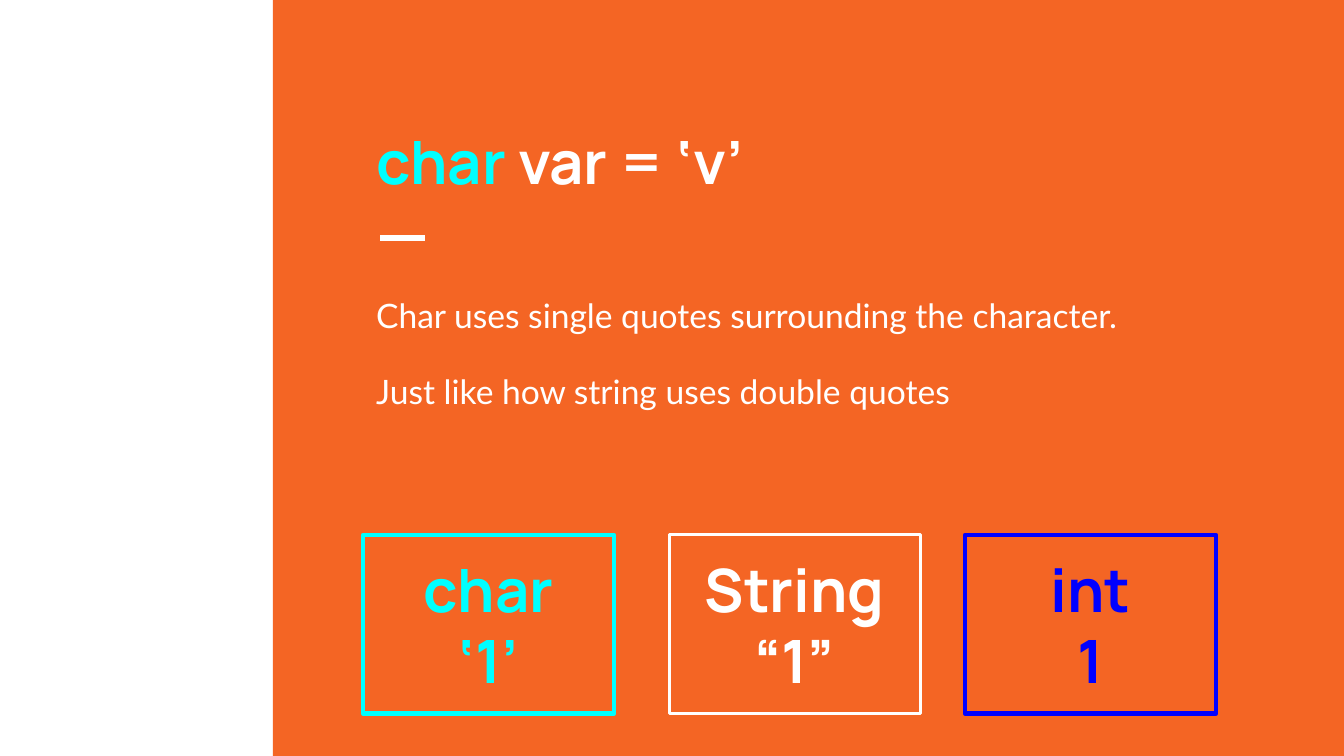
from lxml.etree import SubElement
from pptx import Presentation
from pptx.dml.color import RGBColor
from pptx.enum.shapes import MSO_CONNECTOR, MSO_SHAPE
from pptx.enum.text import MSO_ANCHOR, PP_ALIGN
from pptx.oxml.ns import qn
from pptx.util import Inches, Pt

SLIDE_WIDTH = 10
SLIDE_HEIGHT = SLIDE_WIDTH * 9 / 16

ORANGE = RGBColor(0xF4, 0x65, 0x24)
WHITE = RGBColor(0xFF, 0xFF, 0xFF)
CYAN = RGBColor(0x00, 0xFF, 0xFF)
BLUE = RGBColor(0x00, 0x00, 0xFF)
HEADING_FONT = "Manrope"
BODY_FONT = "Lato"


def write_text(shape, paragraphs, *, font, size, bold=False, align=PP_ALIGN.LEFT,
               anchor=MSO_ANCHOR.TOP, line_spacing=None, space_after=0):
    """Fill a shape with paragraphs, each a list of (text, color) runs."""
    frame = shape.text_frame
    frame.word_wrap = True
    frame.vertical_anchor = anchor
    frame.margin_left = frame.margin_right = Inches(0.1)
    frame.margin_top = frame.margin_bottom = Inches(0.1)
    for index, runs in enumerate(paragraphs):
        paragraph = frame.add_paragraph() if index else frame.paragraphs[0]
        paragraph.alignment = align
        paragraph.space_after = Pt(space_after)
        if line_spacing:
            paragraph.line_spacing = line_spacing
        for text, color in runs:
            run = paragraph.add_run()
            run.text = text
            run.font.name = font
            run.font.size = Pt(size)
            run.font.bold = bold
            run.font.color.rgb = color


def add_rectangle(slide, left, top, width, height):
    shape = slide.shapes.add_shape(MSO_SHAPE.RECTANGLE, Inches(left), Inches(top),
                                   Inches(width), Inches(height))
    shape.shadow.inherit = False
    return shape


def add_panel(slide, left, top, width, height):
    panel = add_rectangle(slide, left, top, width, height)
    panel.fill.solid()
    panel.fill.fore_color.rgb = ORANGE
    panel.line.fill.background()


def add_heading(slide, left, top, width, height):
    # Title, anchored to the bottom of its box
    title = slide.shapes.add_textbox(Inches(left), Inches(top),
                                     Inches(width), Inches(height))
    write_text(title, [[("char ", CYAN), ("var = ‘v’", WHITE)]],
               font=HEADING_FONT, size=32, bold=True, anchor=MSO_ANCHOR.BOTTOM)

    # Short rule below the title
    rule_left, rule_top = left + 0.13, top + height + 0.21
    rule = slide.shapes.add_connector(
        MSO_CONNECTOR.STRAIGHT, Inches(rule_left), Inches(rule_top),
        Inches(rule_left + 0.33), Inches(rule_top))
    rule.line.color.rgb = WHITE
    rule.line.width = Pt(3)
    SubElement(rule._element.spPr, qn("a:effectLst"))


def add_body(slide, left, top, width, height):
    body = slide.shapes.add_textbox(Inches(left), Inches(top),
                                    Inches(width), Inches(height))
    sentences = ["Char uses single quotes surrounding the character.",
                 "Just like how string uses double quotes"]
    write_text(body, [[(sentence, WHITE)] for sentence in sentences],
               font=BODY_FONT, size=18, line_spacing=1.15, space_after=16)


def add_type_card(slide, left, top, width, height, *, lines, color, line_width):
    card = add_rectangle(slide, left, top, width, height)
    card.fill.background()
    card.line.color.rgb = color
    card.line.width = Pt(line_width)
    write_text(card, [[(line, color)] for line in lines], font=HEADING_FONT, size=32,
               bold=True, align=PP_ALIGN.CENTER, anchor=MSO_ANCHOR.MIDDLE)


def main():
    presentation = Presentation()
    presentation.slide_width = Inches(SLIDE_WIDTH)
    presentation.slide_height = Inches(SLIDE_HEIGHT)
    slide = presentation.slides.add_slide(presentation.slide_layouts[6])

    panel_left = 2.03
    add_panel(slide, panel_left, 0, SLIDE_WIDTH - panel_left, SLIDE_HEIGHT)
    add_heading(slide, 2.7, 0.47, 6.42, 1.09)
    add_body(slide, 2.7, 2.05, 6.42, 2.79)

    # The same value written as three types
    cards = [
        (2.7, ["char", "‘1’"], CYAN, 2.25),
        (4.98, ["String", "“1”"], WHITE, 1.5),
        (7.18, ["int", "1"], BLUE, 2.25),
    ]
    for left, lines, color, line_width in cards:
        add_type_card(slide, left, 3.98, 1.87, 1.33,
                      lines=lines, color=color, line_width=line_width)

    presentation.save("out.pptx")


if __name__ == "__main__":
    main()
